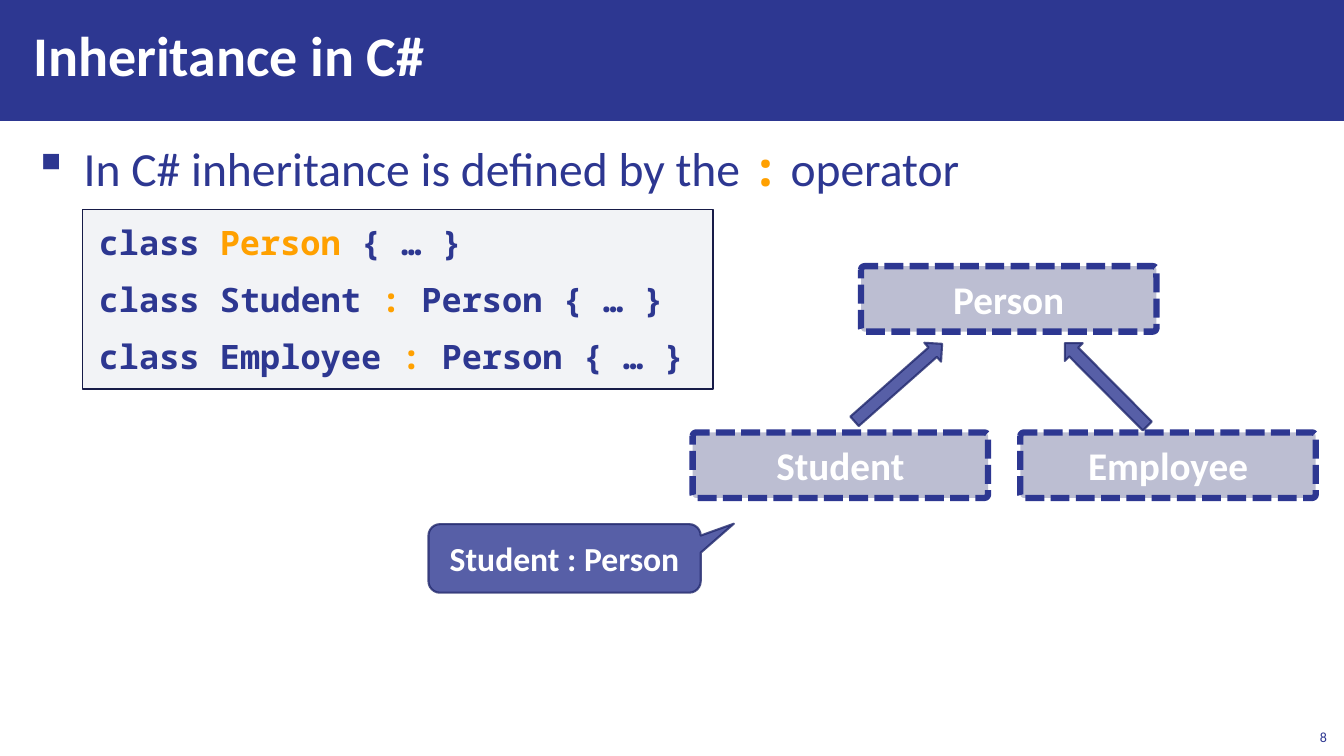
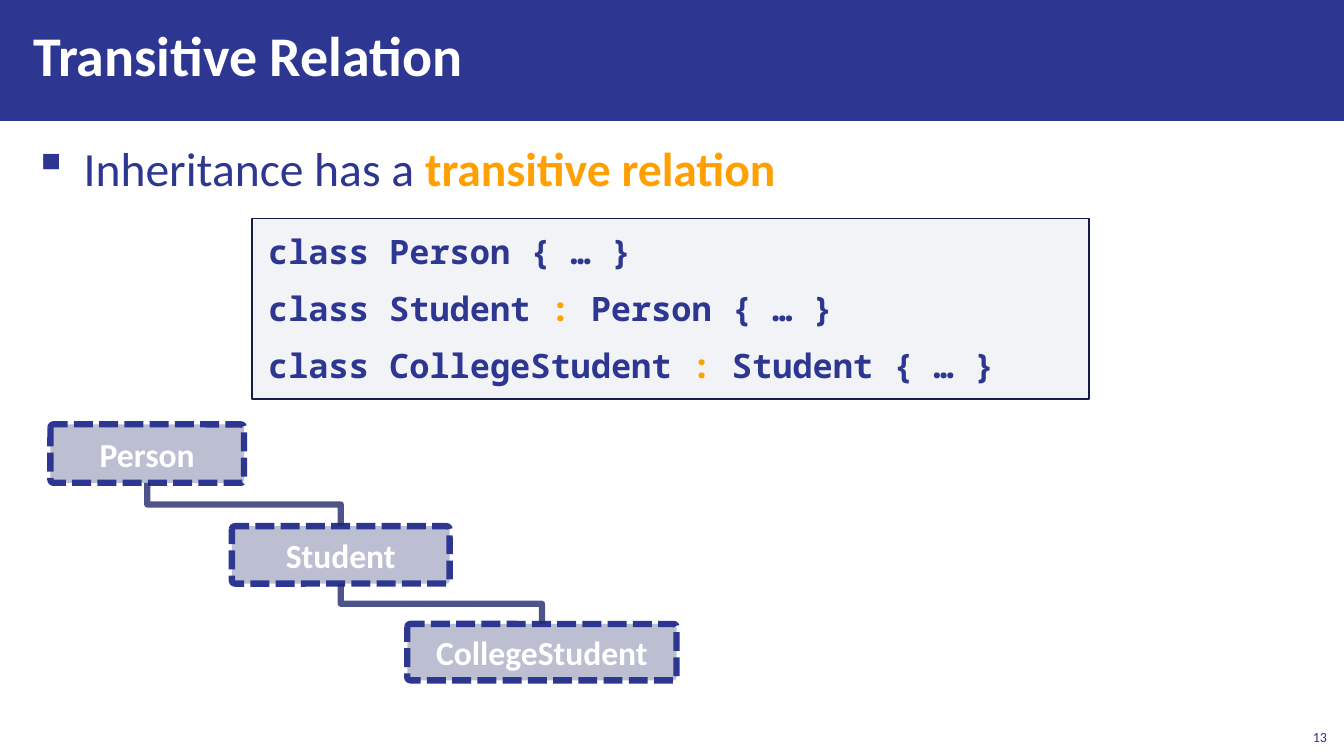
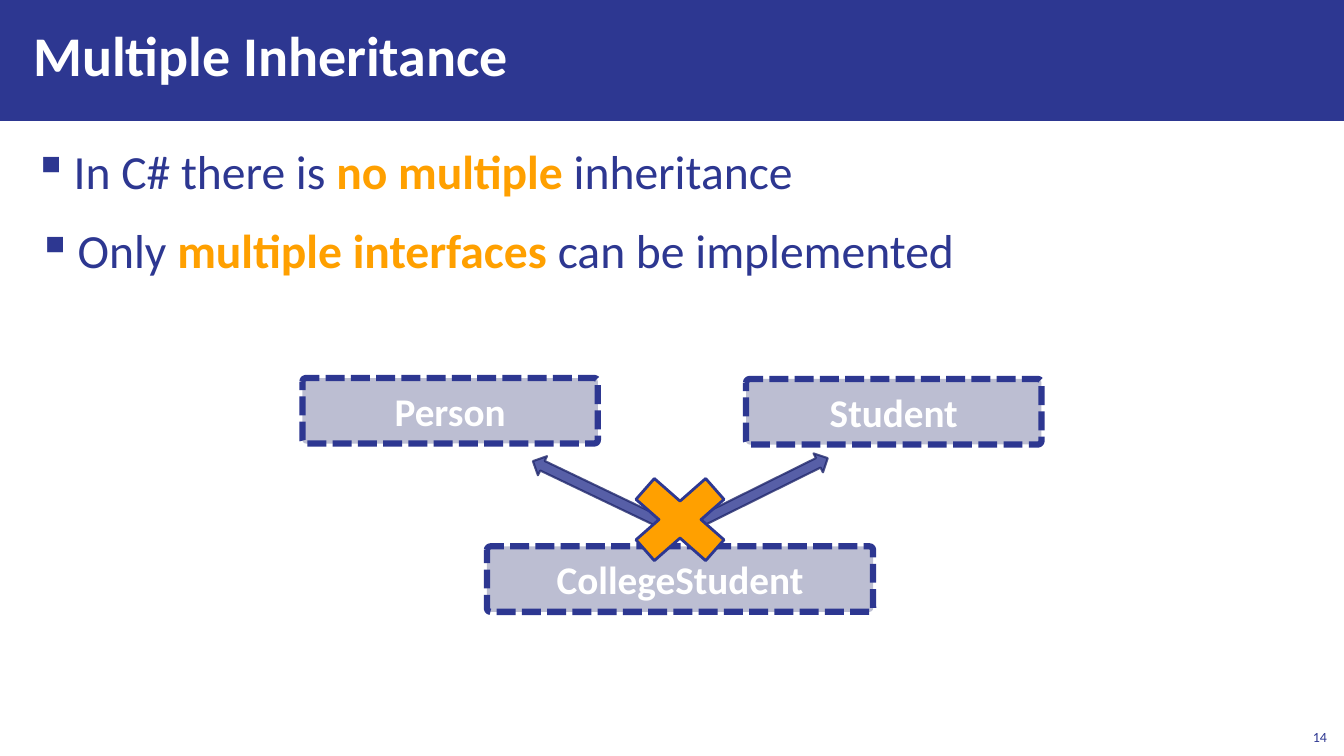
from dataclasses import dataclass

import pptx
import pptx.dml.color
import pptx.enum.dml
import pptx.enum.shapes
import pptx.enum.text
import pptx.oxml
import pptx.oxml.ns
import pptx.util

Inches = pptx.util.Inches
Pt = pptx.util.Pt
RGBColor = pptx.dml.color.RGBColor
Shape = pptx.enum.shapes.MSO_SHAPE
Align = pptx.enum.text.PP_ALIGN
Anchor = pptx.enum.text.MSO_ANCHOR
qn = pptx.oxml.ns.qn

INDIGO = RGBColor(0x2D, 0x37, 0x91)
NAVY = RGBColor(0x22, 0x29, 0x6D)
MIDNIGHT = RGBColor(0x17, 0x1B, 0x48)
GREY = RGBColor(0xAD, 0xB4, 0xC3)
AMBER = RGBColor(0xFF, 0xA0, 0x00)
WHITE = RGBColor(0xFF, 0xFF, 0xFF)

SANS = "Calibri"
MONO = "Noto Sans Mono"
ACCENT_MARK = "*"  # text between two marks is accented
PAGE_WIDTH = 13.33
NODE_HEIGHT = 0.65


@dataclass
class Area:
    """A rectangle in inches."""
    left: float
    top: float
    width: float
    height: float

    @property
    def center(self) -> float:
        return self.left + self.width / 2

    @property
    def bottom(self) -> float:
        return self.top + self.height

    def lengths(self) -> list:
        return [Inches(v) for v in (self.left, self.top, self.width, self.height)]


@dataclass
class Node:
    """A class in a diagram."""
    name: str
    area: Area


@dataclass
class Arrow:
    area: Area
    rotation: float


@dataclass
class Bullet:
    text: str
    indent: float
    hanging: float


def add_text(box, text, *, size, color, font=SANS, bold=False, accent_font=None,
             align=Align.LEFT, anchor=Anchor.TOP, insets=(0.1, 0.05),
             line_spacing=None, space=0):
    """Write one paragraph per line of text, with marked spans accented."""
    frame = box.text_frame
    frame.word_wrap = True
    frame.vertical_anchor = anchor
    frame.margin_left = frame.margin_right = Inches(insets[0])
    frame.margin_top = frame.margin_bottom = Inches(insets[1])
    for index, line in enumerate(text.split("\n")):
        para = frame.add_paragraph() if index else frame.paragraphs[0]
        para.alignment = align
        para.space_before = para.space_after = Pt(space)
        if line_spacing:
            para.line_spacing = line_spacing
        for position, part in enumerate(line.split(ACCENT_MARK)):
            if not part:
                continue
            accented = position % 2 == 1
            span = para.add_run()
            span.text = part
            span.font.size = Pt(size)
            span.font.name = accent_font if accented and accent_font else font
            span.font.bold = bold or accented
            span.font.color.rgb = AMBER if accented else color


def add_textbox(page, area: Area, text: str, **text_format):
    box = page.shapes.add_textbox(*area.lengths())
    add_text(box, text, **text_format)
    return box


def set_opacity(parent, percent: int) -> None:
    """Set the opacity of the solid fill directly under an XML element."""
    color = parent.find(qn("a:solidFill")).find(qn("a:srgbClr"))
    alpha = pptx.oxml.parse_xml(
        f'<a:alpha {pptx.oxml.ns.nsdecls("a")} val="{percent * 1000}"/>')
    color.append(alpha)


def add_shape(page, kind, area: Area, fill, *, line=None, line_width=1.0,
              opacity=100, line_opacity=100):
    shape = page.shapes.add_shape(kind, *area.lengths())
    shape.shadow.inherit = False
    shape.fill.solid()
    shape.fill.fore_color.rgb = fill
    properties = shape._element.spPr
    if line is None:
        shape.line.fill.background()
    else:
        shape.line.color.rgb = line
        shape.line.width = Pt(line_width)
        if line_opacity < 100:
            set_opacity(properties.find(qn("a:ln")), line_opacity)
    if opacity < 100:
        set_opacity(properties, opacity)
    return shape


def add_page(deck, title: str, number: int):
    """Add a page with its title band and page number."""
    page = deck.slides.add_slide(deck.slide_layouts[6])
    add_shape(page, Shape.RECTANGLE, Area(0, 0, PAGE_WIDTH, 1.2), INDIGO)
    add_textbox(page, Area(0.21, 0.11, 10.4, 0.97), title, size=40, color=WHITE,
                bold=True, anchor=Anchor.MIDDLE, insets=(0.12, 0.04),
                line_spacing=Pt(40))
    add_textbox(page, Area(12.86, 7.12, 0.4, 0.32), str(number), size=10,
                color=INDIGO, align=Align.RIGHT, anchor=Anchor.BOTTOM)
    return page


def add_bullets(page, bullets: list[Bullet], *, line_spacing=1.05, accent_font=None):
    box = add_textbox(page, Area(0.21, 1.31, 12.92, 5.69),
                      "\n".join(bullet.text for bullet in bullets), size=34,
                      color=INDIGO, accent_font=accent_font, insets=(0.12, 0.04),
                      line_spacing=line_spacing, space=6)
    for para, bullet in zip(box.text_frame.paragraphs, bullets):
        properties = para._p.get_or_add_pPr()
        properties.set("marL", str(Inches(bullet.indent)))
        properties.set("indent", str(-Inches(bullet.hanging)))
        properties.append(pptx.oxml.parse_xml(
            f'<a:buChar {pptx.oxml.ns.nsdecls("a")} char="▪"/>'))


def add_code(page, area: Area, code: str) -> None:
    panel = add_shape(page, Shape.RECTANGLE, area, GREY, line=MIDNIGHT, opacity=15)
    add_text(panel, code, size=24, color=INDIGO, font=MONO, bold=True,
             insets=(0.16, 0.12), space=6)


def add_nodes(page, nodes: list[Node], size: int = 28) -> None:
    for node in nodes:
        box = add_shape(page, Shape.ROUNDED_RECTANGLE, node.area, NAVY,
                        line=INDIGO, line_width=4.5, opacity=30)
        box.adjustments[0] = 0.054
        box.line.dash_style = pptx.enum.dml.MSO_LINE.SQUARE_DOT
        add_text(box, node.name, size=size, color=WHITE, bold=True,
                 align=Align.CENTER, anchor=Anchor.MIDDLE)


def add_tinted_shape(page, kind, area: Area):
    return add_shape(page, kind, area, INDIGO, line=NAVY, line_width=1.5,
                     opacity=80, line_opacity=80)


def add_arrows(page, arrows: list[Arrow]) -> None:
    for arrow in arrows:
        shape = add_tinted_shape(page, Shape.RIGHT_ARROW, arrow.area)
        shape.rotation = arrow.rotation


def add_elbow(page, parent: Area, child: Area) -> None:
    """Join the bottom of parent to the top of child: down, across, down."""
    middle_x = (parent.center + child.center) / 2
    middle_y = (parent.bottom + child.top) / 2
    half_run = (child.center - parent.center) / 2
    half_drop = (child.top - parent.bottom) / 2
    # The elbow starts sideways, so it is laid out lying down and turned by 90°.
    elbow = page.shapes.add_connector(
        pptx.enum.shapes.MSO_CONNECTOR.ELBOW,
        Inches(middle_x - half_drop), Inches(middle_y + half_run),
        Inches(middle_x + half_drop), Inches(middle_y - half_run))
    elbow.line.color.rgb = NAVY
    elbow.line.width = Pt(4.5)
    properties = elbow._element.spPr
    properties.find(qn("a:xfrm")).set("rot", str(90 * 60000))
    set_opacity(properties.find(qn("a:ln")), 80)
    properties.append(pptx.oxml.parse_xml(
        f'<a:effectLst {pptx.oxml.ns.nsdecls("a")}/>'))


def build_inheritance(deck) -> None:
    page = add_page(deck, "Inheritance in C#", 8)
    add_bullets(page, [Bullet("In C# inheritance is defined by the *:* operator",
                              0.5, 0.5)], accent_font=MONO)
    add_code(page, Area(0.82, 2.08, 6.25, 1.78),
             "class *Person* { … }\n"
             "class Student *:* Person { … }\n"
             "class Employee *:* Person { … }")
    add_nodes(page, [
        Node("Person", Area(8.54, 2.64, 2.93, NODE_HEIGHT)),
        Node("Student", Area(6.87, 4.29, 2.93, NODE_HEIGHT)),
        Node("Employee", Area(10.12, 4.29, 2.93, NODE_HEIGHT)),
    ])
    callout = add_tinted_shape(page, Shape.ROUNDED_RECTANGULAR_CALLOUT,
                               Area(4.25, 5.2, 2.7, 0.68))
    for index, value in enumerate((0.622, -0.507, 0.167)):
        callout.adjustments[index] = value
    add_text(callout, "Student : Person", size=24, color=WHITE, bold=True,
             align=Align.CENTER, anchor=Anchor.MIDDLE)
    add_arrows(page, [Arrow(Area(8.33, 3.67, 1.16, 0.25), 318.5),
                      Arrow(Area(10.39, 3.69, 1.16, 0.25), 225.2)])


def build_transitive_relation(deck) -> None:
    page = add_page(deck, "Transitive Relation", 13)
    add_bullets(page, [Bullet("Inheritance has a *transitive relation*", 0.5, 0.5)])
    add_code(page, Area(2.5, 2.17, 8.3, 1.79),
             "class Person { … }\n"
             "class Student *:* Person { … }\n"
             "class CollegeStudent *:* Student { … }")
    chain = [
        Node("Person", Area(0.5, 4.21, 1.92, 0.58)),
        Node("Student", Area(2.3, 5.22, 2.16, 0.57)),
        Node("CollegeStudent", Area(4.04, 6.19, 2.67, 0.56)),
    ]
    add_nodes(page, chain, size=24)
    for parent, child in zip(chain, chain[1:]):
        add_elbow(page, parent.area, child.area)


def build_multiple_inheritance(deck) -> None:
    page = add_page(deck, "Multiple Inheritance", 14)
    add_bullets(page, [
        Bullet("In C# there is *no multiple* inheritance", 0.4, 0.4),
        Bullet("Only *multiple interfaces *can be implemented", 0.44, 0.4),
    ], line_spacing=1.1)
    add_nodes(page, [
        Node("Person", Area(3, 3.75, 2.93, NODE_HEIGHT)),
        Node("Student", Area(7.4, 3.76, 2.93, NODE_HEIGHT)),
        Node("CollegeStudent", Area(4.83, 5.42, 3.83, NODE_HEIGHT)),
    ])
    add_arrows(page, [Arrow(Area(6.76, 4.78, 1.53, 0.21), 333.6),
                      Arrow(Area(5.21, 4.8, 1.53, 0.21), 205.6)])
    add_shape(page, Shape.MATH_MULTIPLY, Area(6.08, 4.57, 1.33, 1.17), AMBER,
              line=INDIGO, line_width=2)


def main() -> None:
    deck = pptx.Presentation()
    deck.slide_width = Inches(PAGE_WIDTH)
    deck.slide_height = Inches(7.5)
    build_inheritance(deck)
    build_transitive_relation(deck)
    build_multiple_inheritance(deck)
    deck.save("out.pptx")


if __name__ == "__main__":
    main()
